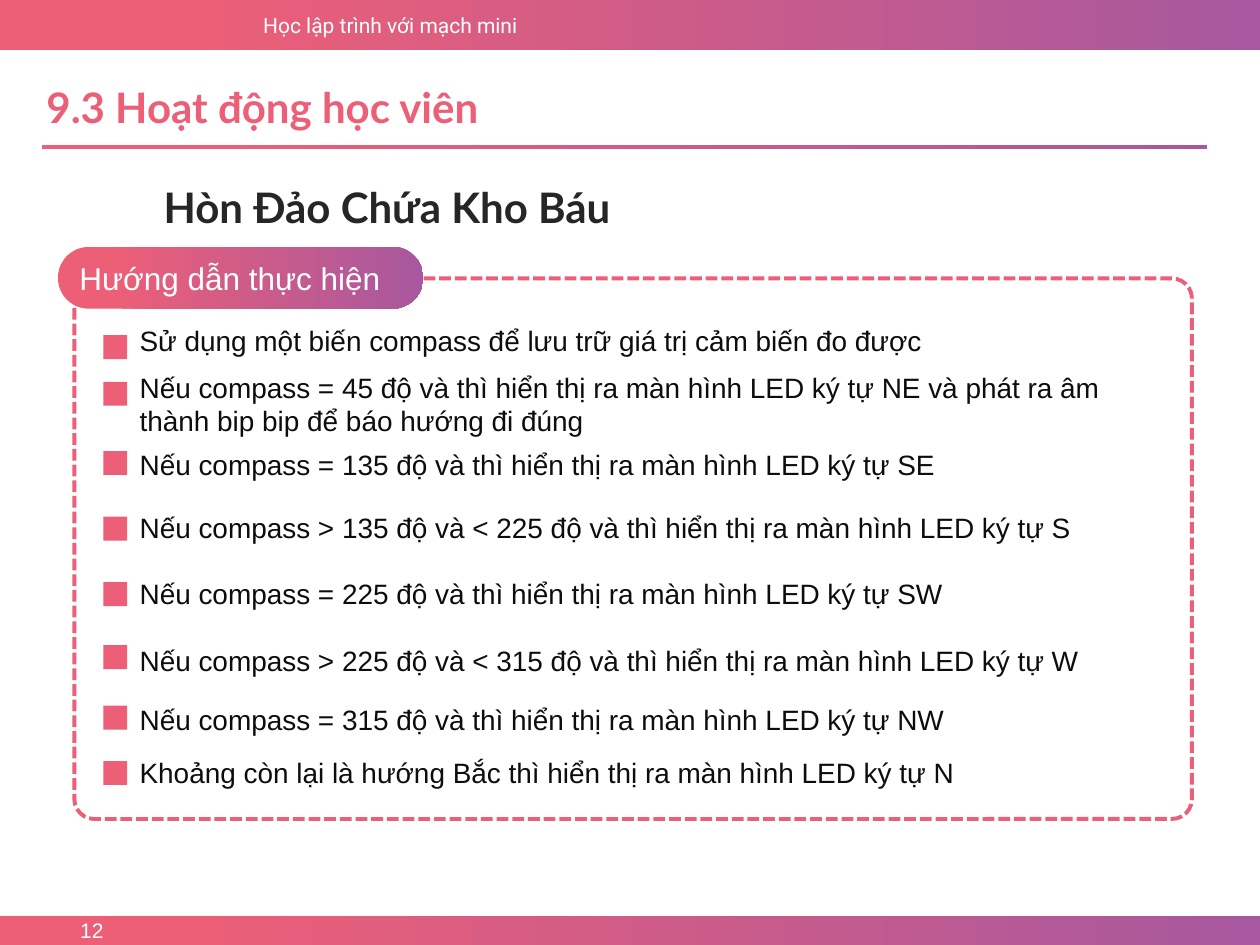
from pptx import Presentation
from pptx.dml.color import RGBColor
from pptx.enum import dml, shapes, text
from pptx.util import Inches, Pt

PINK, PURPLE, WHITE = "EC5F77", "A8589E", "FFFFFF"

prs = Presentation()
prs.slide_width, prs.slide_height = Inches(10), Inches(7.5)
slide = prs.slides.add_slide(prs.slide_layouts[6])
rgb = RGBColor.from_string


def add_block(box, fill=None, kind=shapes.MSO_SHAPE.RECTANGLE):
    """Add a borderless shape; fill is a hex colour, or None for the pink-purple gradient."""
    block = slide.shapes.add_shape(kind, *map(Inches, box))
    block.shadow.inherit = False
    block.line.fill.background()
    if fill:
        block.fill.solid()
        block.fill.fore_color.rgb = rgb(fill)
    else:
        block.fill.gradient()
        block.fill.gradient_angle = 0
        for stop, position, color in zip(block.fill.gradient_stops, (0.15, 1), (PINK, PURPLE)):
            stop.position = position
            stop.color.rgb = rgb(color)
    return block


def write(words, size, font, color, box=None, holder=None, bold=False):
    """Write one paragraph into holder, or into a new text box placed at box."""
    frame = (holder or slide.shapes.add_textbox(*map(Inches, box))).text_frame
    frame.word_wrap = True
    frame.text = words
    paragraph = frame.paragraphs[0]
    paragraph.alignment = text.PP_ALIGN.LEFT
    run_font = paragraph.runs[0].font
    run_font.size, run_font.name, run_font.bold = Pt(size), font, bold
    run_font.color.rgb = rgb(color)
    return frame


# Header and footer bands
add_block((0, 0, 10, 0.4))
add_block((0, 7.27, 10, 0.23))
write("Học lập trình với mạch mini", 12, "Roboto", WHITE, (1.99, 0.05, 2.25, 0.3))
page_number = write("12", 12, "Arial", WHITE, (0, 7.27, 0.92, 0.23))
page_number.vertical_anchor = text.MSO_ANCHOR.MIDDLE
page_number.paragraphs[0].alignment = text.PP_ALIGN.RIGHT

# Titles
add_block((0.33, 1.15, 9.25, 0.03))
write("9.3 Hoạt động học viên", 24, "Lato", PINK, (0.27, 0.6, 8.07, 0.5), bold=True)
write("Hòn Đảo Chứa Kho Báu", 24, "Lato", "262626", (1.2, 1.39, 4.12, 0.5), bold=True)

# Dashed frame with its label
frame_border = add_block((0.59, 2.21, 8.87, 4.29), PINK, shapes.MSO_SHAPE.ROUNDED_RECTANGLE)
frame_border.adjustments[0] = 0.037
frame_border.fill.background()
frame_border.line.color.rgb = rgb(PINK)
frame_border.line.width = Pt(2.25)
frame_border.line.dash_style = dml.MSO_LINE.SQUARE_DOT

label = add_block((0.46, 1.96, 2.9, 0.49), kind=shapes.MSO_SHAPE.ROUNDED_RECTANGLE)
label.adjustments[0] = 0.5
label_text = write("Hướng dẫn thực hiện", 18, "Arial", WHITE, holder=label)
label_text.vertical_anchor = text.MSO_ANCHOR.MIDDLE

# Steps: top of the marker, top of the text, wording
steps = [
    (2.66, 2.52, "Sử dụng một biến compass để lưu trữ giá trị cảm biến đo được"),
    (3.03, 2.89, "Nếu compass = 45 độ và thì hiển thị ra màn hình LED ký tự NE "
                 "và phát ra âm thành bip bip để báo hướng đi đúng"),
    (3.58, 3.5, "Nếu compass = 135 độ và thì hiển thị ra màn hình LED ký tự SE"),
    (4.1, 4, "Nếu compass > 135 độ và < 225 độ và thì hiển thị ra màn hình LED ký tự S"),
    (4.62, 4.53, "Nếu compass = 225 độ và thì hiển thị ra màn hình LED ký tự SW"),
    (5.12, 5.06, "Nếu compass > 225 độ và < 315 độ và thì hiển thị ra màn hình LED ký tự W"),
    (5.6, 5.53, "Nếu compass = 315 độ và thì hiển thị ra màn hình LED ký tự NW"),
    (6.04, 5.95, "Khoảng còn lại là hướng Bắc thì hiển thị ra màn hình LED ký tự N"),
]
for marker_top, text_top, words in steps:
    add_block((0.82, marker_top, 0.19, 0.19), PINK)
    write(words, 16, "Arial", "0D0D0D", (1.01, text_top, 8.32, 0.36))

prs.save("out.pptx")
